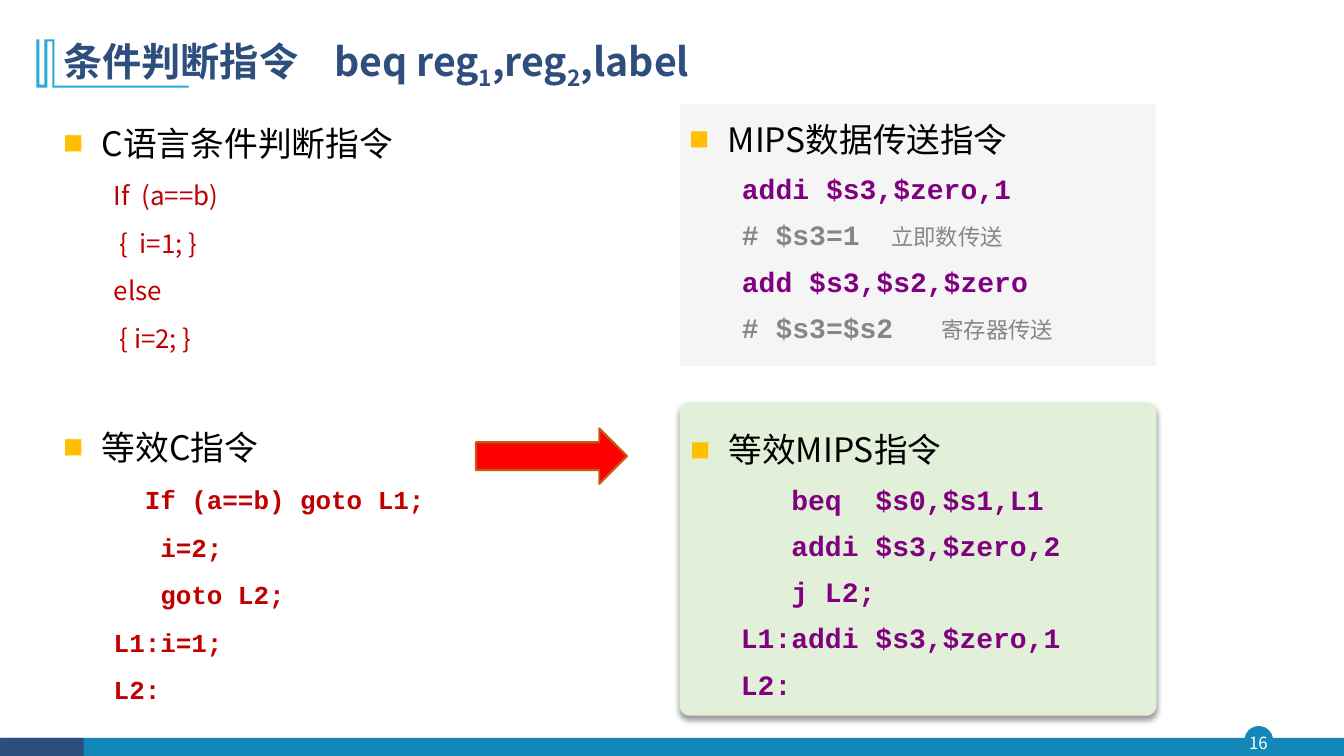
from lxml import etree
from pptx import Presentation
from pptx.dml.color import RGBColor
from pptx.enum import shapes, text
from pptx.oxml import ns
from pptx.util import Inches, Pt

# Content
SANS, MONO = "Noto Sans CJK SC", "Courier New"
BLACK, RED, PURPLE, GREY, NAVY, TEAL = "000000", "C00000", "800080", "868686", "2E4E7E", "1387B7"

TITLE = [("条件判断指令\tbeq reg", 0), ("1", -25), (",reg", 0), ("2", -25), (",label", 0)]
PAGE_NUMBER = "16"

C_CODE = ["If  (a==b)", " {  i=1; }", "else", " { i=2; }"]
C_GOTO = ["  If (a==b) goto L1;", "   i=2;", "   goto L2;", "L1:i=1;", "L2:"]
MOVE_CODE = [("addi $s3,$zero,1", "# $s3=1", "立即数传送"),
             ("add $s3,$s2,$zero", "# $s3=$s2", "寄存器传送")]
MIPS_CODE = ["   beq  $s0,$s1,L1", "   addi $s3,$zero,2", "   j L2;",
             "L1:addi $s3,$zero,1", "L2:"]
TITLE_MARK = [(0.54, 0.39), (0.54, 0.85), (1.87, 0.85), (1.87, 0.87), (0.52, 0.87),
              (0.52, 0.41), (0.47, 0.41), (0.47, 0.87), (0.36, 0.87), (0.36, 0.39),
              (0.39, 0.39), (0.39, 0.84), (0.44, 0.84), (0.44, 0.39)]

# Text sizes and line heights in points, indents in inches
LEFT = dict(head_size=24.1, head_line=39, size=18.5, gap=5, indent=0.5)
RIGHT = dict(head_size=24, head_line=36, size=20, gap=4, indent=0.5)
CODE_LINE = 29
HANGING = 0.38

deck = Presentation()
deck.slide_width, deck.slide_height = Inches(13.33), Inches(7.5)
page = deck.slides.add_slide(deck.slide_layouts[6])


def colour(hex_code):
    return RGBColor.from_string(hex_code)


def paint(shape, fill, line=None, width=1):
    shape.shadow.inherit = False
    shape.fill.solid()
    shape.fill.fore_color.rgb = colour(fill)
    if line:
        shape.line.color.rgb = colour(line)
        shape.line.width = Pt(width)
    else:
        shape.line.fill.background()
    return shape


def add_block(kind, place, fill, line=None, width=1):
    block = page.shapes.add_shape(kind, *map(Inches, place))
    return paint(block, fill, line, width)


def add_frame(place, anchor=text.MSO_ANCHOR.TOP):
    frame = page.shapes.add_textbox(*map(Inches, place)).text_frame
    frame.word_wrap = True
    frame.vertical_anchor = anchor
    return frame


def add_span(para, words, size, hex_code, font=SANS, bold=False):
    span = para.add_run()
    span.text = words
    span.font.size, span.font.bold, span.font.name = Pt(size), bold, font
    span.font.color.rgb = colour(hex_code)
    etree.SubElement(span.font._element, ns.qn("a:ea"), typeface=font)
    return span


def add_tab(para, position):
    tabs = etree.SubElement(para._p.get_or_add_pPr(), ns.qn("a:tabLst"))
    etree.SubElement(tabs, ns.qn("a:tab"), pos=str(Inches(position)), algn="l")


def add_para(frame, line, before):
    first = not frame.paragraphs[0].runs
    para = frame.paragraphs[0] if first else frame.add_paragraph()
    para.line_spacing = Pt(line)
    para.space_before = Pt(0 if first else before)
    return para


def add_heading(frame, words, style, before=0):
    para = add_para(frame, style["head_line"], before)
    props = para._p.get_or_add_pPr()
    props.set("marL", str(Inches(HANGING)))
    props.set("indent", str(-Inches(HANGING)))
    shade = etree.SubElement(props, ns.qn("a:buClr"))
    etree.SubElement(shade, ns.qn("a:srgbClr"), val="FFC000")
    etree.SubElement(props, ns.qn("a:buSzPct"), val="60000")
    etree.SubElement(props, ns.qn("a:buFont"), typeface=SANS)
    etree.SubElement(props, ns.qn("a:buChar"), char="■")
    add_span(para, words, style["head_size"], BLACK)


def add_code(frame, words, style, hex_code, font=MONO, bold=True):
    para = add_para(frame, CODE_LINE, style["gap"])
    para._p.get_or_add_pPr().set("indent", str(Inches(style["indent"])))
    add_span(para, words, style["size"], hex_code, font, bold)
    return para


# Footer and page number
kinds = shapes.MSO_SHAPE
add_block(kinds.OVAL, (12.35, 7.21, 0.27, 0.27), TEAL, TEAL)
add_block(kinds.RECTANGLE, (0.01, 7.32, 13.32, 0.19), TEAL)
add_block(kinds.RECTANGLE, (0, 7.32, 0.83, 0.19), NAVY)
number = add_frame((12.32, 7.21, 0.32, 0.31), text.MSO_ANCHOR.MIDDLE)
number.margin_left = number.margin_right = number.margin_top = number.margin_bottom = 0
number.paragraphs[0].alignment = text.PP_ALIGN.CENTER
add_span(number.paragraphs[0], PAGE_NUMBER, 12, "FFFFFF")

# Title with its mark
corners = [(Inches(x), Inches(y)) for x, y in TITLE_MARK]
outline = page.shapes.build_freeform(*corners[0])
outline.add_line_segments(corners[1:], close=True)
paint(outline.convert_to_shape(), "28A9D6")

heading = add_frame((0.53, 0.28, 11.5, 0.68), text.MSO_ANCHOR.MIDDLE).paragraphs[0]
heading.line_spacing = 0.9
add_tab(heading, 2.69)
for words, baseline in TITLE:
    span = add_span(heading, words, 28, NAVY, bold=True)
    if baseline:
        span.font._element.set("baseline", str(baseline * 1000))

# Panels on the right
add_block(kinds.RECTANGLE, (6.74, 1.03, 4.73, 2.6), "F5F5F5")
panel = add_block(kinds.ROUNDED_RECTANGLE, (6.74, 3.99, 4.73, 3.11), "E2F0D9")
panel.adjustments[0] = 0.033
effects = panel._element.spPr.find(ns.qn("a:effectLst"))
shadow = etree.SubElement(effects, ns.qn("a:outerShdw"), blurRad=str(Pt(4)),
                          dist=str(Pt(3)), dir="5400000", algn="t", rotWithShape="0")
shade = etree.SubElement(shadow, ns.qn("a:srgbClr"), val=BLACK)
etree.SubElement(shade, ns.qn("a:alpha"), val="40000")

# C code on the left
c_frame = add_frame((0.53, 1.03, 4.94, 6.16))
add_heading(c_frame, "C语言条件判断指令", LEFT)
for words in C_CODE:
    add_code(c_frame, words, LEFT, RED, SANS, False)
add_heading(c_frame, "等效C指令", LEFT, before=42)
for words in C_GOTO:
    add_code(c_frame, words, LEFT, RED)

# MIPS data transfer
move_frame = add_frame((6.74, 1.03, 4.73, 2.6))
add_heading(move_frame, "MIPS数据传送指令", RIGHT)
move_style = dict(RIGHT, indent=0.52)
for command, remark, meaning in MOVE_CODE:
    add_code(move_frame, command, move_style, PURPLE)
    para = add_code(move_frame, remark + "\t", move_style, GREY)
    add_tab(para, 2.43)
    add_span(para, meaning, 16, GREY)

# Equivalent MIPS code
mips_frame = add_frame((6.75, 4.11, 4.56, 3.15))
add_heading(mips_frame, "等效MIPS指令", RIGHT)
for words in MIPS_CODE:
    add_code(mips_frame, words, RIGHT, PURPLE)

# Arrow from C to MIPS
add_block(kinds.RIGHT_ARROW, (4.72, 4.25, 1.5, 0.55), "FF0000", "C55A11", 1.5)

deck.save("out.pptx")
